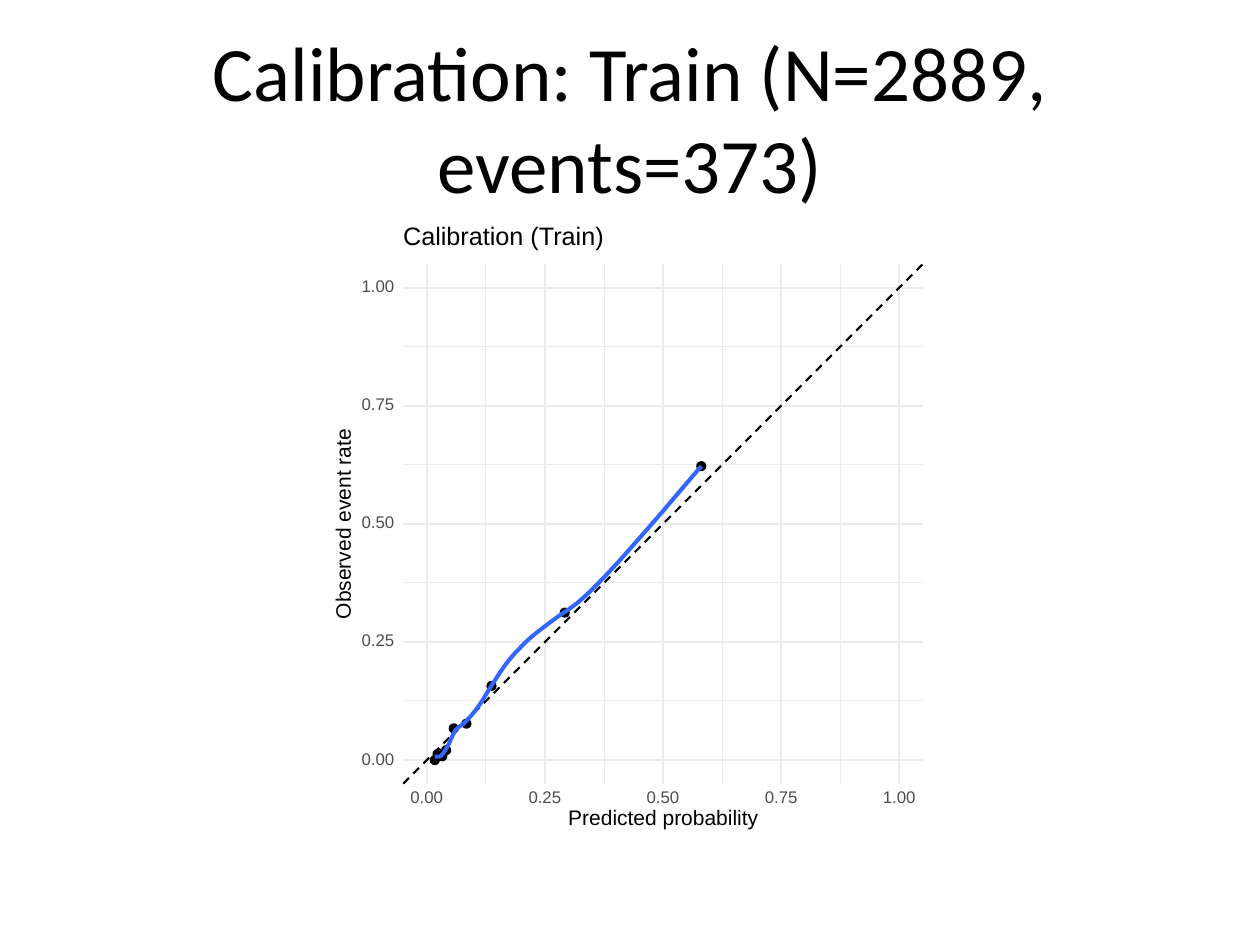
from pptx import Presentation
from pptx.dml.color import RGBColor
from pptx.enum.dml import MSO_LINE
from pptx.enum.shapes import MSO_CONNECTOR, MSO_SHAPE
from pptx.enum.text import MSO_ANCHOR, PP_ALIGN
from pptx.oxml.ns import qn
from pptx.util import Inches, Pt
from lxml.etree import SubElement

TITLE = "Calibration: Train (N=2889, events=373)"
PLOT_TITLE = "Calibration (Train)"
X_TITLE = "Predicted probability"
Y_TITLE = "Observed event rate"

RATES_PCT = [
    (1.7, 0), (2.3, 1.3), (2.8, 1.3), (3.3, 0.8), (4.1, 2.1),
    (5.7, 6.7), (8.4, 7.7), (13.7, 15.7), (29.2, 31.2), (58.1, 62.2),
]
SMOOTH_KNOTS_PCT = [
    (1.7, 0.7), (3, 0.9), (4.5, 3.1), (5.9, 6), (8, 7.9),
    (10.9, 11.3), (13.8, 15.9), (16.6, 20.1), (20.9, 24.9), (26.6, 29.5),
    (32.4, 33.7), (38.1, 39.3), (45.3, 47.3), (58.1, 62.2),
]

THEME = {
    "ink": RGBColor(0x00, 0x00, 0x00),
    "tick": RGBColor(0x4D, 0x4D, 0x4D),
    "grid": RGBColor(0xEB, 0xEB, 0xEB),
    "curve": RGBColor(0x33, 0x66, 0xFF),
    "title_font": "Calibri",
    "plot_font": "Arial",
    "title_size": 44,
    "plot_title_size": 14.4,
    "axis_title_size": 12,
    "tick_size": 9.6,
    "thin": 0.58,
    "medium": 1.16,
    "thick": 2.33,
    "dot_outline": 0.77,
}

TICK_STEP, MARGIN = 25, 5
LOW, HIGH = -MARGIN, 100 + MARGIN
MAJOR = range(0, 101, TICK_STEP)
MINOR = [v + TICK_STEP / 2 for v in MAJOR[:-1]]

PANEL_LEFT, PANEL_BOTTOM = 3.2, 6.22
INCHES_PER_PCT = 3.75 / 100
DOT = 0.07
TICK_W, TICK_H = 0.26, 0.1
Y_TICKS_LEFT, X_TICKS_TOP = 2.87, 6.29
STEPS_PER_KNOT = 8


def to_slide(x, y):
    return (PANEL_LEFT + (x - LOW) * INCHES_PER_PCT,
            PANEL_BOTTOM - (y - LOW) * INCHES_PER_PCT)


def knot_slopes(knots):
    gaps = [b[0] - a[0] for a, b in zip(knots, knots[1:])]
    rises = [(b[1] - a[1]) / gap for a, b, gap in zip(knots, knots[1:], gaps)]
    inner = [(g1 * r0 + g0 * r1) / (g0 + g1)
             for g0, g1, r0, r1 in zip(gaps, gaps[1:], rises, rises[1:])]
    return [rises[0], *inner, rises[-1]]


def cubic_spline(knots):
    slopes = knot_slopes(knots)
    points = [knots[0]]
    for (x0, y0), (x1, y1), m0, m1 in zip(knots, knots[1:], slopes, slopes[1:]):
        gap = x1 - x0
        for step in range(1, STEPS_PER_KNOT + 1):
            t = step / STEPS_PER_KNOT
            blend = t * t * (3 - 2 * t)
            bend = gap * t * (1 - t) * (m0 * (1 - t) - m1 * t)
            points.append((x0 + gap * t, y0 + (y1 - y0) * blend + bend))
    return points


def add_run(p, text, font, size, color):
    r = p.add_run()
    r.text = text
    r.font.name = font
    r.font.size = Pt(size)
    r.font.color.rgb = color


def set_line(sp, color, width):
    sp.line.color.rgb = color
    sp.line.width = Pt(width)


def add_line(slide, start, end, color, width):
    ends = (*to_slide(*start), *to_slide(*end))
    sp = slide.shapes.add_connector(MSO_CONNECTOR.STRAIGHT, *map(Inches, ends))
    set_line(sp, color, width)
    SubElement(sp._element.spPr, qn("a:effectLst"))
    return sp


def add_label(slide, text, box, size, color, rotation=0):
    sp = slide.shapes.add_textbox(*map(Inches, box))
    sp.rotation = rotation
    tf = sp.text_frame
    tf.word_wrap = False
    tf.vertical_anchor = MSO_ANCHOR.MIDDLE
    tf.margin_left = tf.margin_right = tf.margin_top = tf.margin_bottom = 0
    p = tf.paragraphs[0]
    p.line_spacing = Pt(size)
    add_run(p, text, THEME["plot_font"], size, color)


def add_title(slide):
    sp = slide.shapes.title
    sp.left, sp.top, sp.width, sp.height = map(Inches, (0.5, 0.3, 9, 1.25))
    tf = sp.text_frame
    tf.vertical_anchor = MSO_ANCHOR.MIDDLE
    p = tf.paragraphs[0]
    p.alignment = PP_ALIGN.CENTER
    add_run(p, TITLE, THEME["title_font"], THEME["title_size"], THEME["ink"])


def add_grid(slide):
    for values, width in ((MINOR, THEME["thin"]), (MAJOR, THEME["medium"])):
        for v in values:
            add_line(slide, (LOW, v), (HIGH, v), THEME["grid"], width)
            add_line(slide, (v, LOW), (v, HIGH), THEME["grid"], width)


def add_ideal_line(slide):
    sp = add_line(slide, (LOW, LOW), (HIGH, HIGH), THEME["ink"], THEME["medium"])
    sp.line.dash_style = MSO_LINE.DASH


def add_rates(slide):
    for rate in RATES_PCT:
        x, y = to_slide(*rate)
        box = (x - DOT / 2, y - DOT / 2, DOT, DOT)
        sp = slide.shapes.add_shape(MSO_SHAPE.OVAL, *map(Inches, box))
        sp.shadow.inherit = False
        sp.fill.solid()
        sp.fill.fore_color.rgb = THEME["ink"]
        set_line(sp, THEME["ink"], THEME["dot_outline"])


def add_smooth_curve(slide):
    start, *rest = [tuple(map(Inches, to_slide(*point)))
                    for point in cubic_spline(SMOOTH_KNOTS_PCT)]
    builder = slide.shapes.build_freeform(*start)
    builder.add_line_segments(rest, close=False)
    sp = builder.convert_to_shape()
    sp.shadow.inherit = False
    sp.fill.background()
    set_line(sp, THEME["curve"], THEME["thick"])


def add_tick_labels(slide):
    for v in MAJOR:
        x, y = to_slide(v, v)
        corners = ((Y_TICKS_LEFT, y - TICK_H / 2), (x - TICK_W / 2, X_TICKS_TOP))
        for left, top in corners:
            add_label(slide, f"{v / 100:.2f}", (left, top, TICK_W, TICK_H),
                      THEME["tick_size"], THEME["tick"])


def add_plot_titles(slide):
    axis_size, ink = THEME["axis_title_size"], THEME["ink"]
    add_label(slide, X_TITLE, (4.51, 6.43, 1.51, 0.15), axis_size, ink)
    add_label(slide, Y_TITLE, (1.98, 4.1, 1.51, 0.12), axis_size, ink, rotation=270)
    add_label(slide, PLOT_TITLE, (3.2, 1.79, 1.6, 0.19), THEME["plot_title_size"], ink)


def main():
    prs = Presentation()
    prs.slide_width, prs.slide_height = Inches(10), Inches(7.5)
    slide = prs.slides.add_slide(prs.slide_layouts[5])
    for add_part in (add_title, add_grid, add_ideal_line, add_rates,
                     add_smooth_curve, add_tick_labels, add_plot_titles):
        add_part(slide)
    prs.save("out.pptx")


if __name__ == "__main__":
    main()
